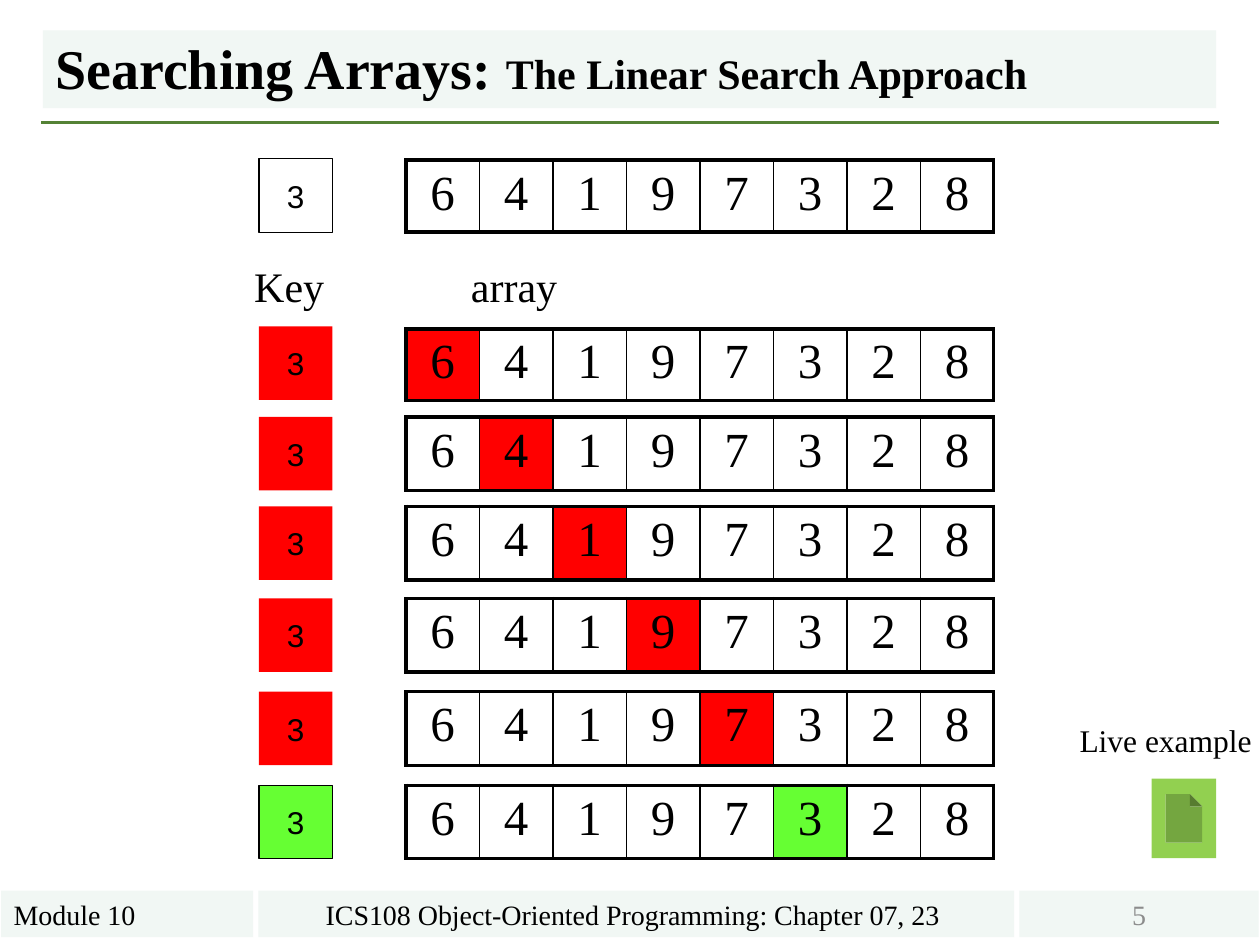
from dataclasses import dataclass
from typing import Optional

import pptx
import pptx.dml.color
import pptx.enum.shapes
import pptx.enum.text
import pptx.oxml
import pptx.oxml.ns
import pptx.util
from lxml import etree

Pt = pptx.util.Pt
ALIGN = pptx.enum.text.PP_ALIGN
ANCHOR = pptx.enum.text.MSO_ANCHOR
SHAPE = pptx.enum.shapes.MSO_SHAPE

SERIF, SANS = "Times New Roman", "Arial"
BLACK, RED, GREEN, PALE = "000000", "FF0000", "66FF33", "F1F7F4"
VALUES = "64197328"
KEY = "3"
CELL = 42
KEY_LEFT, ARRAY_LEFT = 148, 232


@dataclass
class Box:
    left: float
    top: float
    width: float
    height: float


@dataclass
class Run:
    text: str
    size: float
    font: str = SERIF
    color: str = BLACK
    bold: bool = False


@dataclass
class Step:
    key_top: float
    array_top: float
    array_height: float
    index: Optional[int] = None
    fill: Optional[str] = None
    outlined: bool = False


STEPS = [
    Step(90.7, 91.5, 41, outlined=True),
    Step(186.5, 188, 41, 0, RED),
    Step(238.3, 238.3, CELL, 1, RED),
    Step(289.4, 289.4, CELL, 2, RED),
    Step(342, 342, CELL, 3, RED),
    Step(395.3, 395.3, CELL, 4, RED),
    Step(448.7, 448.7, CELL, 5, GREEN, True),
]


def rgb(color: str) -> pptx.dml.color.RGBColor:
    return pptx.dml.color.RGBColor.from_string(color)


def set_fill(fill, color: Optional[str]) -> None:
    if color:
        fill.solid()
        fill.fore_color.rgb = rgb(color)
    else:
        fill.background()


def write(tf, runs: list[Run], align=ALIGN.LEFT):
    p = tf.paragraphs[0]
    p.alignment = align
    for run in runs:
        r = p.add_run()
        r.text = run.text
        formats = {"size": Pt(run.size), "name": run.font, "bold": run.bold}
        for name, value in formats.items():
            setattr(r.font, name, value)
        r.font.color.rgb = rgb(run.color)
    return p


def add_box(s, box: Box, fill: Optional[str], runs: list[Run], align=ALIGN.LEFT,
            anchor=ANCHOR.MIDDLE, wrap=True, line: Optional[str] = None,
            preset=SHAPE.RECTANGLE):
    sp = s.shapes.add_shape(preset, Pt(box.left), Pt(box.top), Pt(box.width), Pt(box.height))
    sp.shadow.inherit = False
    set_fill(sp.fill, fill)
    set_fill(sp.line.fill, line)
    if line:
        sp.line.width = Pt(0.75)
    tf = sp.text_frame
    for name, value in {"word_wrap": wrap, "vertical_anchor": anchor}.items():
        setattr(tf, name, value)
    if runs:
        write(tf, runs, align)
    return sp


def add_label(s, box: Box, run: Run, wrap=True) -> None:
    sp = s.shapes.add_textbox(Pt(box.left), Pt(box.top), Pt(box.width), Pt(box.height))
    sp.text_frame.word_wrap = wrap
    write(sp.text_frame, [run])


def set_borders(cell, widths: dict[str, float]) -> None:
    tc_pr = cell._tc.get_or_add_tcPr()
    for side, width in widths.items():
        ln = etree.SubElement(tc_pr, pptx.oxml.ns.qn(f"a:ln{side}"), w=str(Pt(width)))
        fill = etree.SubElement(ln, pptx.oxml.ns.qn("a:solidFill"))
        etree.SubElement(fill, pptx.oxml.ns.qn("a:srgbClr"), val=BLACK)


def add_array(s, step: Step) -> None:
    """Draw the array as a one-row table with the compared cell filled."""
    last = len(VALUES) - 1
    table = s.shapes.add_table(1, len(VALUES), Pt(ARRAY_LEFT), Pt(step.array_top),
                               Pt(CELL * len(VALUES)), Pt(step.array_height)).table
    table.first_row = table.horz_banding = False
    for i, value in enumerate(VALUES):
        table.columns[i].width = Pt(CELL)
        cell = table.cell(0, i)
        set_borders(cell, {"L": 2.25 if i == 0 else 1, "R": 2.25 if i == last else 1,
                           "T": 2.25, "B": 2.25})
        set_fill(cell.fill, step.fill if i == step.index else None)
        write(cell.text_frame, [Run(value, 28)], ALIGN.CENTER)


def add_step(s, step: Step) -> None:
    add_array(s, step)
    add_box(s, Box(KEY_LEFT, step.key_top, CELL, CELL), step.fill, [Run(KEY, 18, SANS)],
            ALIGN.CENTER, wrap=False, line=BLACK if step.outlined else None)


def add_rule(s) -> None:
    line = s.shapes.add_connector(pptx.enum.shapes.MSO_CONNECTOR.STRAIGHT,
                                  Pt(23.5), Pt(70), Pt(696.5), Pt(70))
    line.line.color.rgb = rgb("548235")
    line.line.width = Pt(1.5)
    etree.SubElement(line._element.spPr, pptx.oxml.ns.qn("a:effectLst"))


def main() -> None:
    prs = pptx.Presentation()
    prs.slide_width, prs.slide_height = Pt(720), Pt(540)
    s = prs.slides.add_slide(prs.slide_layouts[6])

    add_rule(s)
    add_box(s, Box(147.6, 509, 432, 26.6), PALE,
            [Run("ICS108 Object-Oriented Programming: Chapter 07, 23 ", 16)], ALIGN.CENTER)
    add_box(s, Box(0.7, 509, 144, 26.6), PALE, [Run("Module 10", 16)])
    add_box(s, Box(582.5, 509, 136.8, 26.6), PALE, [Run("5", 16, color="8C8C8C")], ALIGN.CENTER)
    title = add_box(s, Box(24.5, 17.3, 670.5, 44.6), PALE,
                    [Run("Searching Arrays: ", 32, bold=True),
                     Run("The Linear Search Approach", 24, bold=True)], anchor=ANCHOR.BOTTOM)
    title.text_frame.paragraphs[0].line_spacing = 0.9

    for step in STEPS:
        add_step(s, step)

    add_label(s, Box(138.2, 145.5, 88, 36), Run("Key", 24))
    add_label(s, Box(262, 145.5, 176, 36), Run("array", 24))
    add_box(s, Box(658, 445, 37, 45.4), "92D050", [], preset=SHAPE.ACTION_BUTTON_DOCUMENT)
    add_label(s, Box(609.8, 408.5, 113.8, 29), Run("Live example", 18), wrap=False)
    prs.save("out.pptx")


if __name__ == "__main__":
    main()
